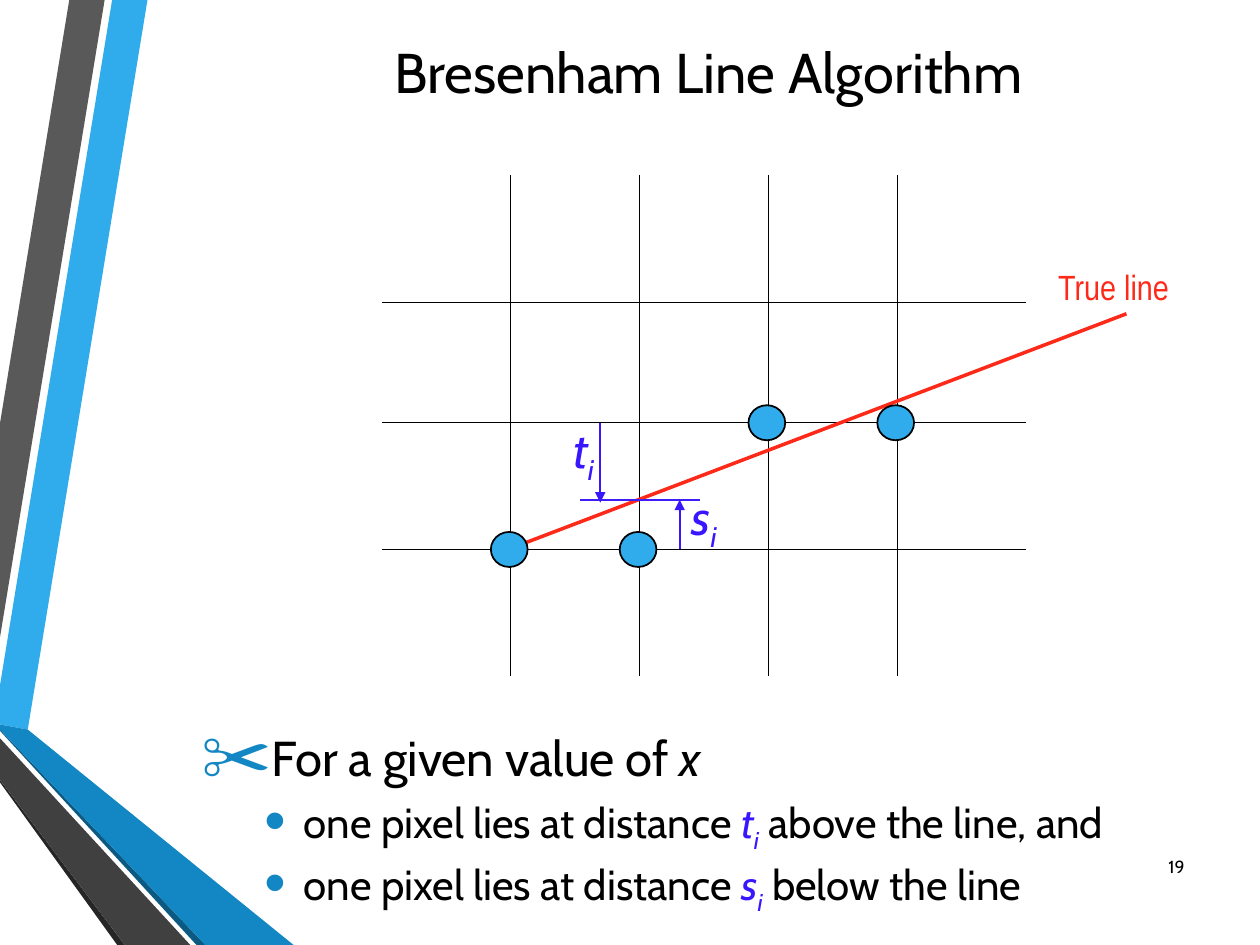
from pptx import Presentation
from pptx.util import Pt
from pptx.dml.color import RGBColor as RGB
from pptx.enum.shapes import MSO_SHAPE as SHAPE, MSO_CONNECTOR as CONN
from pptx.enum.text import PP_ALIGN as AL, MSO_ANCHOR as ANC
from pptx.oxml.ns import qn
from lxml.etree import SubElement as Sub

C = {"black": "000000", "sky": "30ACEC", "blue": "1287C3", "navy": "0C5A82",
     "gray": "595959", "dark": "404040", "darker": "262626",
     "red": "FD2919", "violet": "3817FF", "indigo": "3D1EF8"}


class Deck:
    font = "Cabin"

    def __init__(self, w, h):
        self.prs = Presentation()
        self.prs.slide_width, self.prs.slide_height = Pt(w), Pt(h)

    def new_slide(self):
        self.s = self.prs.slides.add_slide(self.prs.slide_layouts[6])

    def paint(self, sp, fill, line=None):
        sp.shadow.inherit = False
        sp.fill.solid()
        sp.fill.fore_color.rgb = RGB.from_string(C[fill])
        if line:
            sp.line.color.rgb = RGB.from_string(C[line])
            sp.line.width = Pt(1)
        else:
            sp.line.fill.background()

    def polygon(self, pts, fill):
        pts = [(Pt(x), Pt(y)) for x, y in pts]
        fb = self.s.shapes.build_freeform(*pts[0], scale=1.0)
        fb.add_line_segments(pts[1:], close=True)
        self.paint(fb.convert_to_shape(), fill)

    def dot(self, cx, cy, w, h):
        sp = self.s.shapes.add_shape(SHAPE.OVAL, Pt(cx - w / 2), Pt(cy - h / 2), Pt(w), Pt(h))
        self.paint(sp, "sky", "black")

    def line(self, x1, y1, x2, y2, color, width=1, arrow=False):
        cn = self.s.shapes.add_connector(CONN.STRAIGHT, Pt(x1), Pt(y1), Pt(x2), Pt(y2))
        cn.line.color.rgb = RGB.from_string(C[color])
        cn.line.width = Pt(width)
        if arrow:
            Sub(cn.line._get_or_add_ln(), qn("a:tailEnd"), type="triangle")
        Sub(cn._element.spPr, qn("a:effectLst"))

    def text(self, x, y, w, h, size, runs, font=None, align=AL.LEFT, anchor=ANC.TOP, wrap=True):
        sp = self.s.shapes.add_textbox(Pt(x), Pt(y), Pt(w), Pt(h))
        tf = sp.text_frame
        tf.word_wrap, tf.vertical_anchor = wrap, anchor
        p = tf.paragraphs[0]
        p.alignment = align
        self.runs(p, size, runs, font)
        return tf

    def runs(self, p, size, runs, font=None):
        """Each run is (text, colour, italic, subscript)."""
        for text, color, italic, sub in runs:
            r = p.add_run()
            r.text = text
            f = r.font
            f.name, f.size, f.italic = font or self.font, Pt(size), italic
            f.color.rgb = RGB.from_string(C[color])
            if sub:
                r._r.get_or_add_rPr().set("baseline", "-25000")

    def bullet(self, p, char, left, hang, level=0):
        p.level, p.line_spacing, p.space_after = level, 0.9, Pt(6)
        pPr = p._p.get_or_add_pPr()
        pPr.set("marL", str(Pt(left)))
        pPr.set("indent", str(-Pt(hang)))
        Sub(Sub(pPr, qn("a:buClr")), qn("a:srgbClr"), val=C["blue"])
        Sub(pPr, qn("a:buSzPct"), val="145000")
        Sub(pPr, qn("a:buFont"), typeface="Arial")
        Sub(pPr, qn("a:buChar"), char=char)

    def grid(self, x, y, col, cols, rows):
        """Empty table ruled on its inner edges only."""
        gf = self.s.shapes.add_table(len(rows), cols, Pt(x), Pt(y), Pt(col * cols), Pt(sum(rows)))
        t = gf.table
        t.first_row = t.horz_banding = False
        for c in t.columns:
            c.width = Pt(col)
        for i, h in enumerate(rows):
            t.rows[i].height = Pt(h)
            for j in range(cols):
                cell = t.cell(i, j)
                tcPr = cell._tc.get_or_add_tcPr()
                edges = {"L": j > 0, "R": j < cols - 1, "T": i > 0, "B": i < len(rows) - 1}
                for side, inner in edges.items():
                    ln = Sub(tcPr, qn("a:ln" + side), w=str(Pt(0.45)))
                    if inner:
                        Sub(Sub(ln, qn("a:solidFill")), qn("a:srgbClr"), val=C["black"])
                    else:
                        Sub(ln, qn("a:noFill"))
                cell.fill.background()


def symbol(name):
    return [(name, "violet", True, False), ("i", "violet", True, True)]


def plain(text):
    return (text, "black", False, False)


d = Deck(720, 540)
d.new_slide()

# Ribbons on the left edge
for fill, pts in [
    ("sky", [(0, 391.7), (0, 414), (15.9, 416.9), (84.3, 0), (64.1, 0)]),
    ("gray", [(59.8, 0), (39.6, 0), (0, 242), (0, 364.3)]),
    ("darker", [(0, 445.7), (0, 447.1), (67, 540), (71.3, 540)]),
    ("navy", [(0, 416.9), (0, 417.6), (112.3, 540), (117.4, 540)]),
    ("blue", [(0, 416.9), (117.4, 540), (167.8, 540), (15.9, 416.9), (0, 414)]),
    ("dark", [(0, 445.7), (71.3, 540), (108.7, 540), (0, 421.9)]),
]:
    d.polygon(pts, fill)

# Title
d.text(108, 9.4, 594, 62.6, 32, [plain("Bresenham Line Algorithm")],
       align=AL.CENTER, anchor=ANC.MIDDLE)

# Explanation
tf = d.text(108, 411.8, 599.8, 116.6, 28,
            [plain("For a given value of "), ("x", "black", True, False)], anchor=ANC.MIDDLE)
d.bullet(tf.paragraphs[0], "\u2702", 22.5, 22.5)
for name, side in [("t", " above the line, and"), ("s", " below the line")]:
    p = tf.add_paragraph()
    d.bullet(p, "\u2022", 58.5, 22.5, level=1)
    d.runs(p, 24, [plain("one pixel lies at distance "), *symbol(name), plain(side)])

# Slide number
d.text(650.2, 481, 33.8, 28.8, 10, [plain("19")], align=AL.RIGHT, anchor=ANC.MIDDLE)

# Pixel grid
GX, GY, COL, ROWS = 218.3, 100.1, 73.6, [72.4, 69.1, 72.4, 72.4]
d.grid(GX, GY, COL, 5, ROWS)
upper, lower = GY + sum(ROWS[:2]), GY + sum(ROWS[:3])

# True line
d.line(290.2, lower, 643.7, 179.3, "red", 2)
d.text(597.6, 148.3, 96.5, 31.7, 20, [("True line", "red", False, False)],
       font="Arial Narrow", wrap=False)

# Distances to the line
cross = 285.6
d.text(388.1, 274.3, 30.2, 45.4, 28, symbol("s"), wrap=False)
d.text(320.4, 236.2, 27.4, 45.4, 28, symbol("t"), wrap=False)
d.line(331.6, cross, 399.8, cross, "indigo")
d.line(343, upper, 343, cross + 1.6, "violet", arrow=True)
d.line(388.4, lower, 388.4, cross, "violet", arrow=True)

# Chosen pixels
for i, y in enumerate([lower, lower, upper, upper], start=1):
    d.dot(GX + i * COL - 0.9, y, 21, 20)

d.prs.save("out.pptx")
